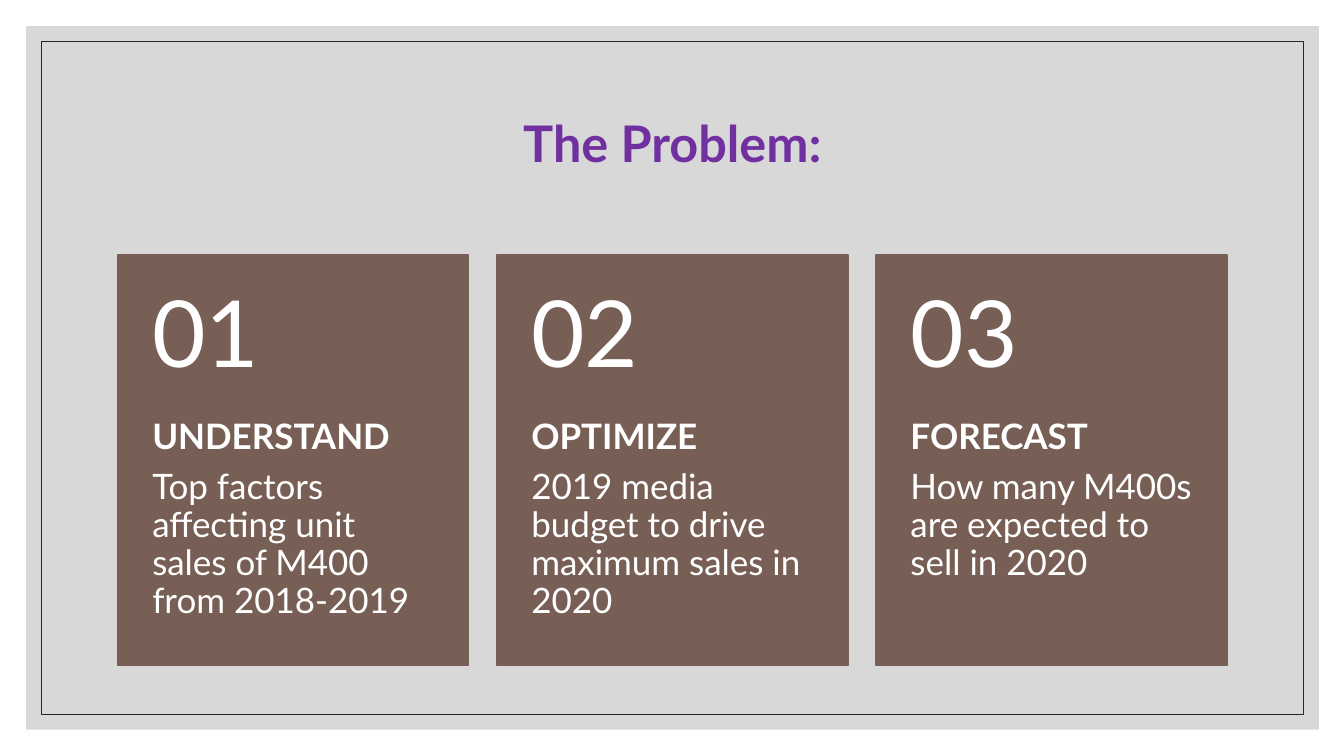
"""Build the slide that states the problem in three numbered cards."""
from dataclasses import dataclass

import pptx
import pptx.dml.color
import pptx.enum.shapes
import pptx.enum.text
import pptx.oxml.ns
import pptx.util
from lxml import etree

Inches = pptx.util.Inches
Pt = pptx.util.Pt
Color = pptx.dml.color.RGBColor.from_string
Anchor = pptx.enum.text.MSO_ANCHOR
Align = pptx.enum.text.PP_ALIGN


@dataclass(frozen=True)
class Theme:
    """Colours, font and type sizes of the slide."""
    font: str = "Lato"
    panel: str = "BFBFBF"
    panel_opacity: int = 60
    frame: str = "262626"
    title: str = "7030A0"
    card: str = "775F55"
    card_text: str = "FFFFFF"
    title_size: int = 36
    number_size: int = 66
    body_size: int = 25


theme = Theme()

presentation = pptx.Presentation()
presentation.slide_width = Inches(13.33)
presentation.slide_height = Inches(7.5)
slide = presentation.slides.add_slide(presentation.slide_layouts[6])


def add_rectangle(left, top, width, height, fill=None, line=None, line_width=1):
    """Add a plain rectangle with an optional fill and outline."""
    shape = slide.shapes.add_shape(
        pptx.enum.shapes.MSO_SHAPE.RECTANGLE,
        Inches(left), Inches(top), Inches(width), Inches(height))
    shape.shadow.inherit = False
    if fill:
        shape.fill.solid()
        shape.fill.fore_color.rgb = Color(fill)
    else:
        shape.fill.background()
    if line:
        shape.line.color.rgb = Color(line)
        shape.line.width = Pt(line_width)
    else:
        shape.line.fill.background()
    return shape


def add_text(box, margins, lines, size, color, anchor=Anchor.TOP,
             align=Align.LEFT, space_after=0):
    """Add a text box whose lines are pairs of wording and boldness."""
    shape = slide.shapes.add_textbox(*map(Inches, box))
    frame = shape.text_frame
    frame.word_wrap = True
    frame.vertical_anchor = anchor
    frame.margin_left = frame.margin_right = Inches(margins[0])
    frame.margin_top, frame.margin_bottom = map(Inches, margins[1:])
    for index, (wording, bold) in enumerate(lines):
        paragraph = frame.add_paragraph() if index else frame.paragraphs[0]
        paragraph.alignment = align
        paragraph.line_spacing = 0.9
        paragraph.space_after = Pt(space_after)
        run = paragraph.add_run()
        run.text = wording
        run.font.name = theme.font
        run.font.size = Pt(size)
        run.font.bold = bold
        run.font.color.rgb = Color(color)


panel = add_rectangle(0.26, 0.26, 12.82, 6.98, fill=theme.panel)
panel_color = panel.fill._xPr.find(".//" + pptx.oxml.ns.qn("a:srgbClr"))
etree.SubElement(panel_color, pptx.oxml.ns.qn("a:alpha"),
                 val=str(theme.panel_opacity * 1000))
add_rectangle(0.41, 0.41, 12.52, 6.68, line=theme.frame, line_width=0.5)

add_text((1.17, 0.7, 11, 1.5), (0.1, 0.05, 0.05), [("The Problem:", True)],
         theme.title_size, theme.title, Anchor.MIDDLE, Align.CENTER)

cards = [
    ("UNDERSTAND", "Top factors affecting unit sales of M400 from 2018-2019"),
    ("OPTIMIZE", "2019 media budget to drive maximum sales in 2020"),
    ("FORECAST", "How many M400s are expected to sell in 2020"),
]
card_left, card_top, card_pitch = 1.17, 2.53, 3.76
card_width, number_height, body_height = 3.48, 1.63, 2.44

for index, (heading, description) in enumerate(cards):
    left = card_left + index * card_pitch
    add_rectangle(left, card_top, card_width, number_height + body_height,
                  fill=theme.card, line=theme.card)
    add_text((left, card_top + number_height, card_width, body_height),
             (0.34, 0, 0.36), [(heading, True), (description, False)],
             theme.body_size, theme.card_text, space_after=9)
    add_text((left, card_top, card_width, number_height),
             (0.34, 0.18, 0.18), [(f"{index + 1:02}", False)],
             theme.number_size, theme.card_text, Anchor.MIDDLE)

presentation.save("out.pptx")
